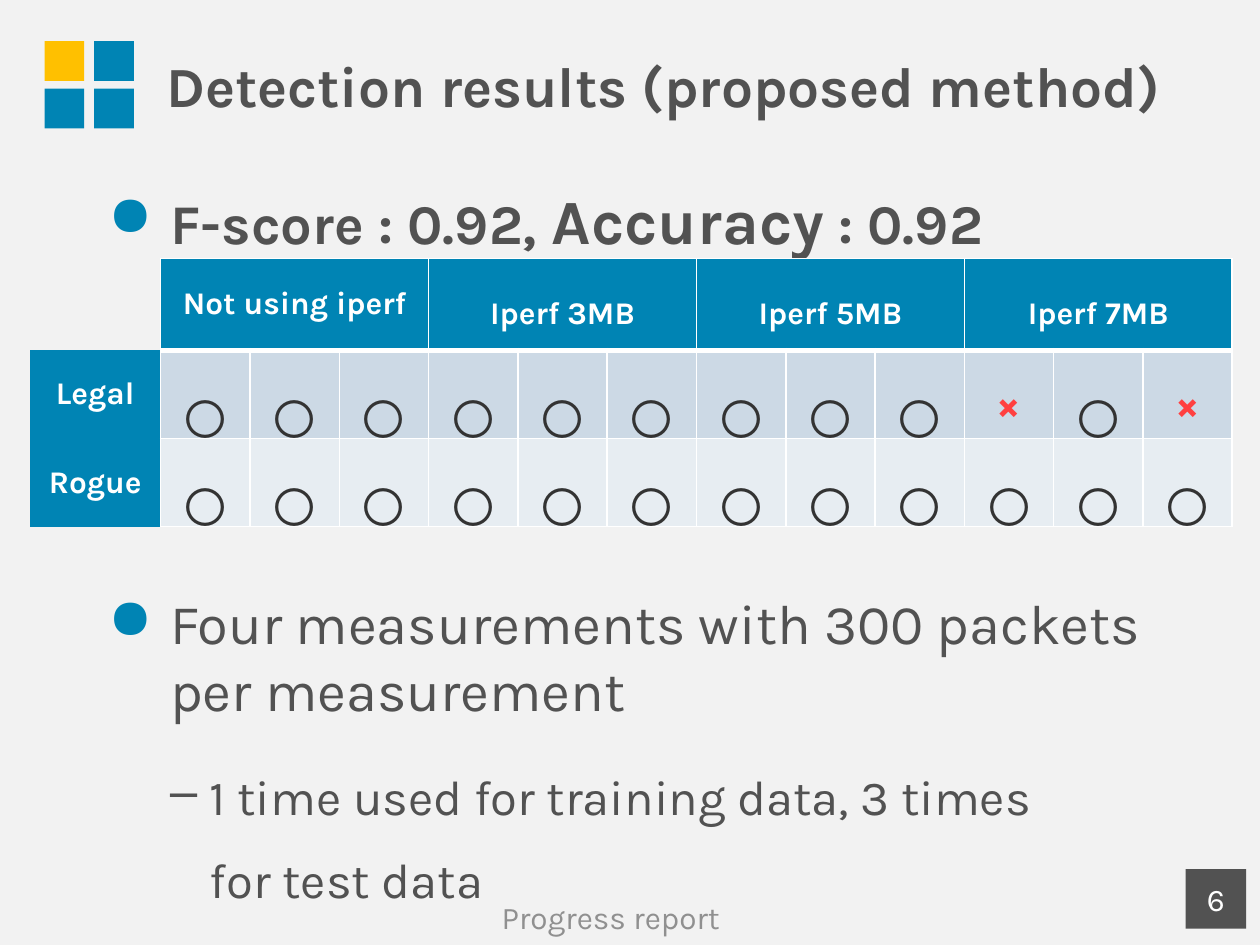
import pptx
import pptx.util
import pptx.dml.color
import pptx.enum.shapes
import pptx.enum.text
import pptx.oxml
import pptx.oxml.ns

Cm, Pt = pptx.util.Cm, pptx.util.Pt
ANCHOR, ALIGN = pptx.enum.text.MSO_ANCHOR, pptx.enum.text.PP_ALIGN
RECTANGLE = pptx.enum.shapes.MSO_SHAPE.RECTANGLE
COLORS = {
    "background": "F2F2F2", "blue": "0084B4", "yellow": "FFC000",
    "text": "525252", "footer": "909090", "white": "FFFFFF",
    "circle": "333333", "cross": "FF4040", "legal": "CCD9E5", "rogue": "E7EDF2",
}


def rgb(color):
    return pptx.dml.color.RGBColor.from_string(COLORS[color])


def write(paragraph, text, size, color, bold=False, **paragraph_format):
    for name, value in paragraph_format.items():
        setattr(paragraph, name, value)
    start = len(paragraph.runs)
    for number, line in enumerate(text.split("\n")):
        if number:
            paragraph.add_line_break()
        paragraph.add_run().text = line
    for run in paragraph.runs[start:]:
        for name, value in {"name": "Karla", "size": Pt(size), "bold": bold}.items():
            setattr(run.font, name, value)
        run.font.color.rgb = rgb(color)


deck = pptx.Presentation()
deck.slide_width, deck.slide_height = Cm(25.4), Cm(19.05)
slide = deck.slides.add_slide(deck.slide_layouts[6])
slide.background.fill.solid()
slide.background.fill.fore_color.rgb = rgb("background")

# Four squares beside the title, and the page number box
blocks = [
    (0.9 + 1.0 * column, 0.83 + 0.96 * row, 0.8, 0.8,
     "yellow" if (row, column) == (0, 0) else "blue")
    for row in range(2) for column in range(2)
]
blocks.append((23.9, 17.52, 1.22, 1.2, "text"))
for left, top, width, height, color in blocks:
    block = slide.shapes.add_shape(RECTANGLE, Cm(left), Cm(top), Cm(width), Cm(height))
    block.shadow.inherit = False
    block.fill.solid()
    block.fill.fore_color.rgb = rgb(color)
    block.line.fill.background()
page_number = block.text_frame
page_number.vertical_anchor = ANCHOR.MIDDLE
write(page_number.paragraphs[0], "6", 18, "white", alignment=ALIGN.CENTER)

# Text boxes: title, score, measurements, footer
frames = []
for left, top, width, height, anchor in [
    (3.1, 0.13, 22.3, 3.17, ANCHOR.MIDDLE),
    (1.93, 3.53, 23.24, 1.6, ANCHOR.TOP),
    (1.93, 11.73, 23.24, 6.3, ANCHOR.TOP),
    (0.9, 17.98, 22.83, 1.02, ANCHOR.MIDDLE),
]:
    frame = slide.shapes.add_textbox(Cm(left), Cm(top), Cm(width), Cm(height)).text_frame
    for name, value in {"word_wrap": True, "vertical_anchor": anchor}.items():
        setattr(frame, name, value)
    frames.append(frame)
title, score, measurements, footer = frames

write(title.paragraphs[0], "Detection results (proposed method)", 32.4, "text", True)
write(footer.paragraphs[0], "Progress report", 18, "footer", alignment=ALIGN.CENTER)
for text, size in [("F-score : 0.92, ", 32), ("Accuracy", 36), (" : 0.92", 32)]:
    write(score.paragraphs[0], text, size, "text", True)
write(measurements.paragraphs[0],
      "Four measurements with 300 packets \nper measurement", 32, "text")
usage = measurements.add_paragraph()
write(usage, "1 time used for training data, 3 times \nfor test data", 28, "text",
      level=1, line_spacing=1.4, space_before=Pt(12))

# Bullets
for paragraph, mark, color, margin, hanging in [
    (score.paragraphs[0], "●", "blue", 1.25, 1.25),
    (measurements.paragraphs[0], "●", "blue", 1.25, 1.25),
    (usage, "–", "text", 2.05, 0.8),
]:
    properties = paragraph._p.get_or_add_pPr()
    properties.set("marL", str(Cm(margin)))
    properties.set("indent", str(-Cm(hanging)))
    bullet_color = pptx.oxml.parse_xml(
        f'<a:buClr {pptx.oxml.ns.nsdecls("a")}><a:srgbClr val="{COLORS[color]}"/></a:buClr>')
    bullet = pptx.oxml.parse_xml(f'<a:buChar {pptx.oxml.ns.nsdecls("a")} char="{mark}"/>')
    properties.extend([bullet_color, bullet])

# Result table
loads = ["Not using iperf", "Iperf 3MB", "Iperf 5MB", "Iperf 7MB"]
results = {"Legal": "〇〇〇〇〇〇〇〇〇×〇×", "Rogue": "〇" * 12}
table = slide.shapes.add_table(3, 13, Cm(0.6), Cm(5.21), Cm(24.24), Cm(5.35)).table
table._tbl.tblPr.find(pptx.oxml.ns.qn("a:tableStyleId")).text = (
    "{2D5ABB26-0587-4C30-8999-92F81FD0307C}")
for number, column in enumerate(table.columns):
    column.width = Cm(1.8) if number else Cm(2.64)
for row, height in zip(table.rows, [1.85, 1.75, 1.75]):
    row.height = Cm(height)

for number, load in enumerate(loads):
    first = 1 + 3 * number
    header = table.cell(0, first)
    header.merge(table.cell(0, first + 2))
    header.vertical_anchor = ANCHOR.MIDDLE
    write(header.text_frame.paragraphs[0], load, 18, "white", True,
          alignment=ALIGN.CENTER, line_spacing=1.5 if number else 1.0)
for row, (label, marks) in enumerate(results.items(), 1):
    table.cell(row, 0).vertical_anchor = ANCHOR.MIDDLE
    write(table.cell(row, 0).text_frame.paragraphs[0], label, 18, "white", True,
          alignment=ALIGN.CENTER)
    for column, mark in enumerate(marks, 1):
        wrong = mark == "×"
        write(table.cell(row, column).text_frame.paragraphs[0], mark, 24,
              "cross" if wrong else "circle", wrong,
              alignment=ALIGN.CENTER, line_spacing=1.5)

# Cell fills and white borders
for row in range(3):
    for column in range(13):
        cell = table.cell(row, column)
        if row == column == 0:
            cell.fill.background()
            continue
        cell.fill.solid()
        cell.fill.fore_color.rgb = rgb(
            "blue" if row == 0 or column == 0 else ["legal", "rogue"][row - 1])
        if column == 0:
            continue
        widths = {"lnL": 1, "lnR": 1, "lnT": 3 if row == 1 else 1, "lnB": 1 if row else 3}
        for position, (side, width) in enumerate(widths.items()):
            cell._tc.get_or_add_tcPr().insert(position, pptx.oxml.parse_xml(
                f'<a:{side} {pptx.oxml.ns.nsdecls("a")} w="{Pt(width)}"><a:solidFill>'
                f'<a:srgbClr val="{COLORS["white"]}"/></a:solidFill></a:{side}>'))

deck.save("out.pptx")
